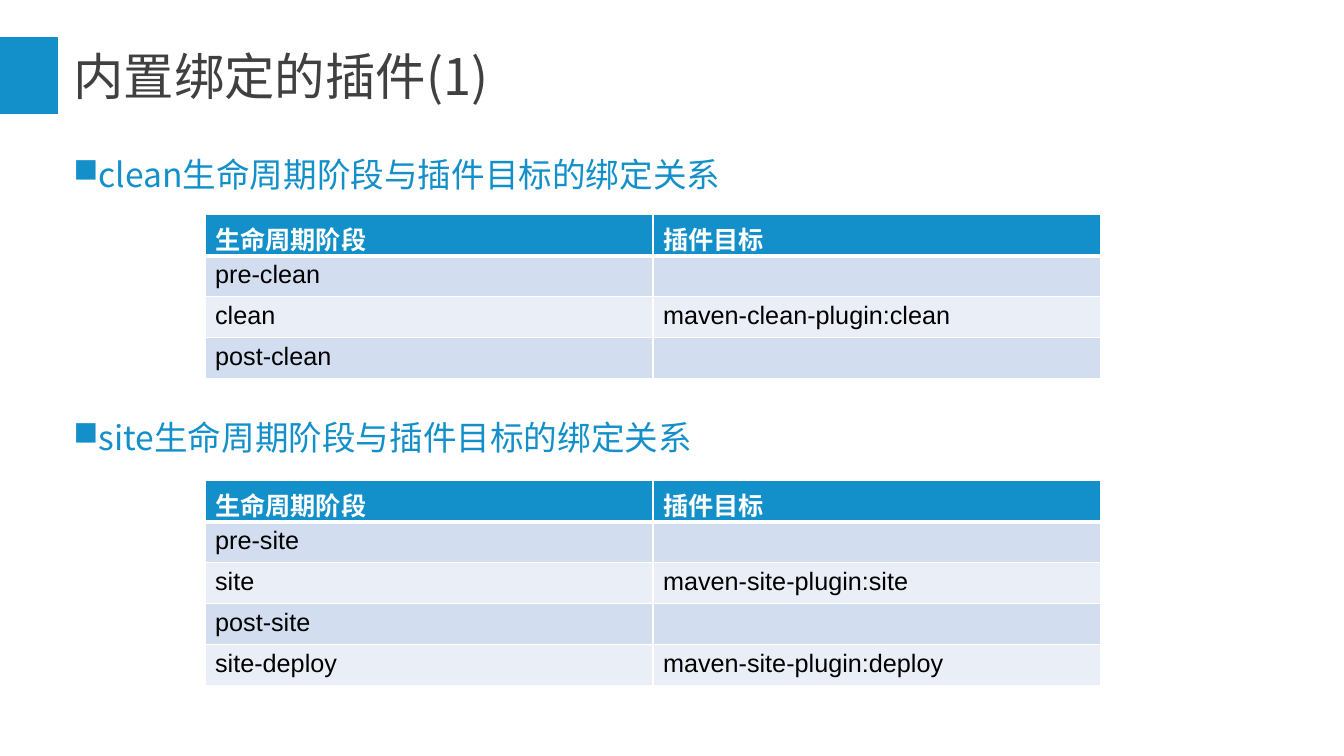
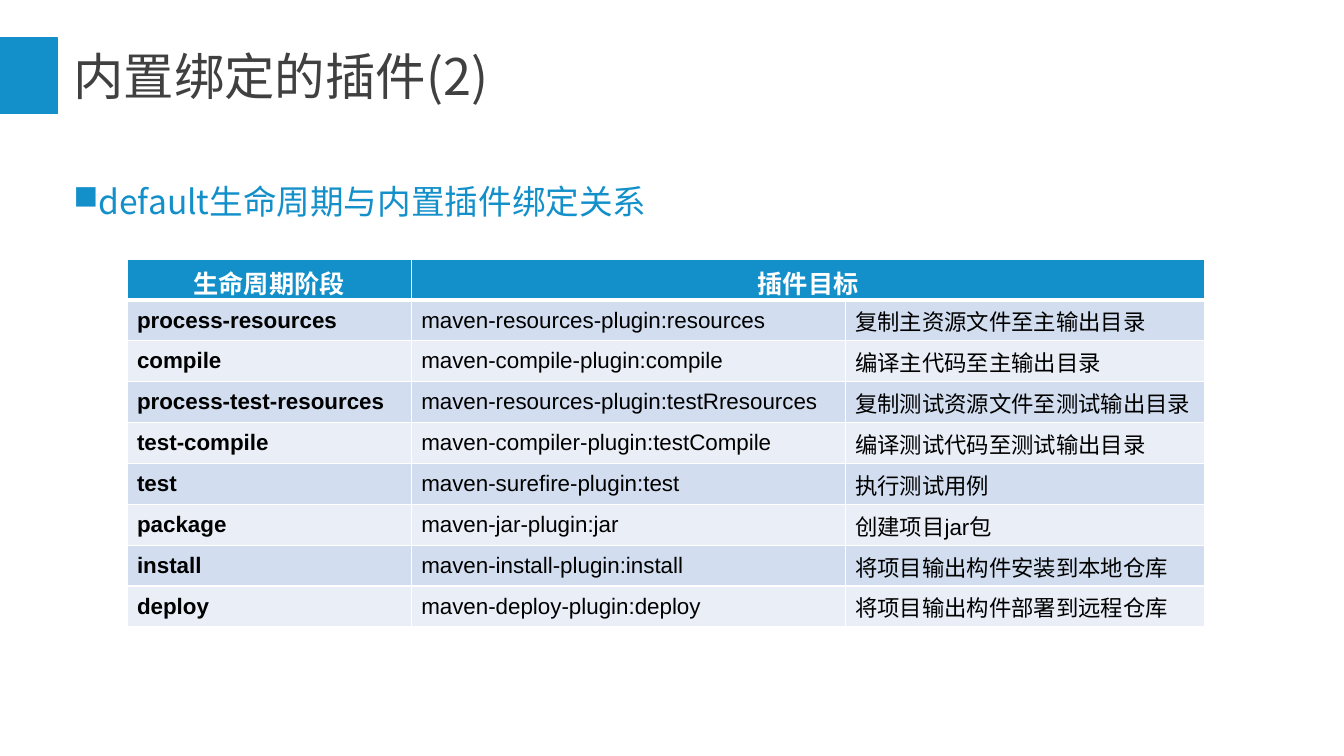
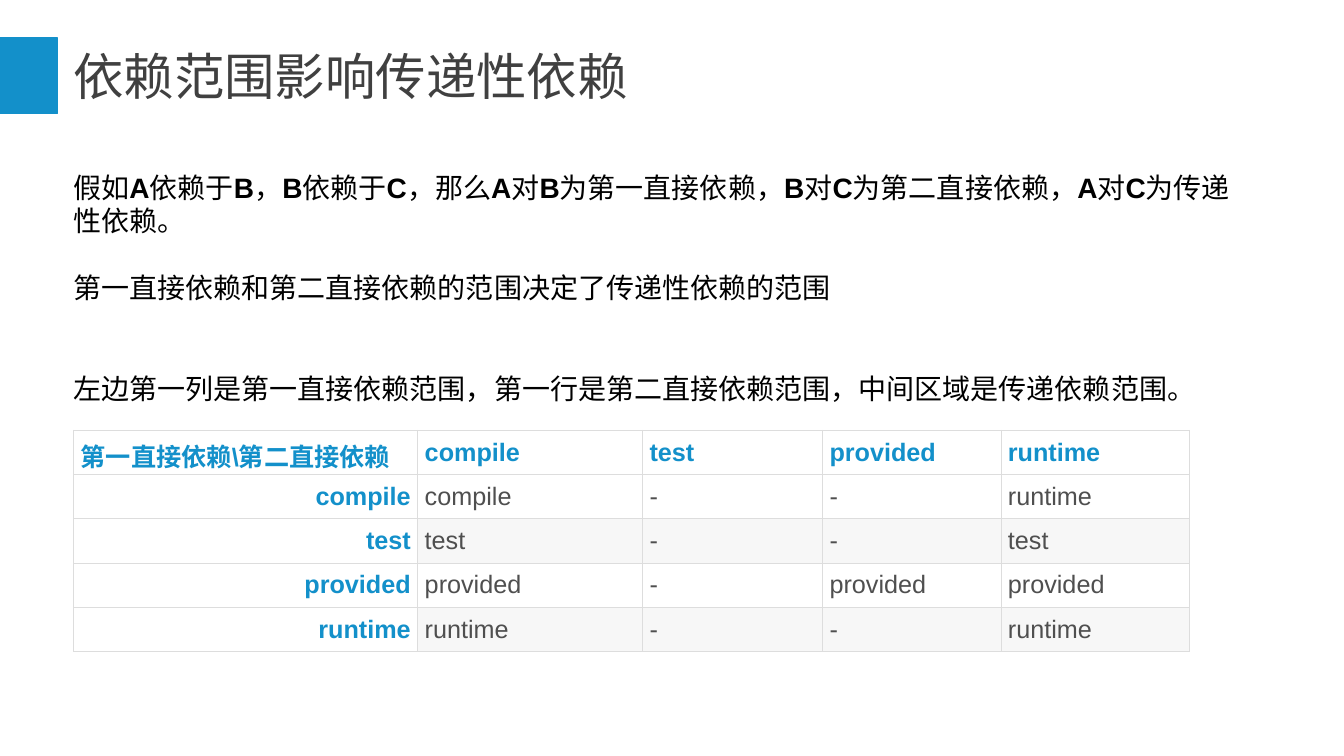
from itertools import groupby

from lxml import etree
from pptx import Presentation
from pptx import util as u
from pptx.dml.color import RGBColor
from pptx.enum import shapes, text
from pptx.oxml import ns

Pt = u.Pt
BLUE, WHITE, BLACK = "1390CA", "FFFFFF", "000000"
DARK, GREY, RULE = "404040", "4F4F4F", "DDDDDD"
BANDS = "D2DEEF", "EAEFF7"
PALE = WHITE, "F7F7F7"
SANS, CJK = "Arial", "Noto Sans CJK SC"
LEFT, WIDE = 45.36, 861
ALIGN, ANCHOR = text.PP_ALIGN, text.MSO_ANCHOR


def hue(code):
    return RGBColor.from_string(code)


def paint(fill, code):
    if code:
        fill.solid()
        fill.fore_color.rgb = hue(code)
    else:
        fill.background()


def node(parent, tag, **attrs):
    return etree.SubElement(parent, ns.qn(tag), attrs)


def write(para, words, color, **form):
    run = para.add_run()
    run.text = words
    run.font.color.rgb = hue(color)
    for key, val in form.items():
        setattr(run.font, key, val)
    node(run._r.get_or_add_rPr(), "a:ea", typeface=CJK)


def box(slide, *area):
    frame = slide.shapes.add_textbox(*map(Pt, area)).text_frame
    frame.word_wrap = True
    return frame


def start(deck, title):
    """Add a slide with the blue band and its title."""
    slide = deck.slides.add_slide(deck.slide_layouts[6])
    band = slide.shapes.add_shape(
        shapes.MSO_SHAPE.RECTANGLE, 0, Pt(27.2), Pt(41), Pt(54))
    band.shadow.inherit = False
    paint(band.fill, BLUE)
    paint(band.line.fill, BLUE)
    band.line.width = Pt(1)
    frame = box(slide, LEFT, 29.5, WIDE, 54)
    frame.vertical_anchor = ANCHOR.MIDDLE
    para = frame.paragraphs[0]
    para.line_spacing = 0.9
    write(para, title, DARK, size=Pt(36), name=CJK)
    return slide


def point(slide, top, words, wide=WIDE, high=41):
    """Add a heading with a square bullet."""
    para = box(slide, LEFT, top, wide, high).paragraphs[0]
    para.space_before = para.space_after = Pt(6)
    props = para._p.get_or_add_pPr()
    props.set("marL", str(Pt(7.2)))
    props.set("indent", str(Pt(-36)))
    node(props, "a:buChar", char="■")
    write(para, words, BLUE, size=Pt(24), name=CJK)


def edge(cell, color, **widths):
    props = cell._tc.get_or_add_tcPr()
    for side in "LRTB":
        line = node(props, "a:ln" + side, w=str(Pt(widths[side])))
        node(node(line, "a:solidFill"), "a:srgbClr", val=color)


def grid(slide, left, top, cols, high, rows, look, rule, thin, thick):
    """Add a table; look(row, col) gives fill, align, anchor and font form.

    None as a cell's words joins it to the cell on its left.
    """
    table = slide.shapes.add_table(
        len(rows), len(cols), Pt(left), Pt(top),
        Pt(sum(cols)), Pt(high * len(rows))).table
    for col, wide in zip(table.columns, cols):
        col.width = Pt(wide)
    for r, row in enumerate(rows):
        table.rows[r].height = Pt(high)
        for c, words in enumerate(row):
            cell = table.cell(r, c)
            fill, align, anchor, form = look(r, c)
            edge(cell, rule, L=thin, R=thin,
                 T=thick if r == 1 else thin,
                 B=thick if r == 0 else thin)
            paint(cell.fill, fill)
            cell.vertical_anchor = anchor
            if words is None:
                table.cell(r, c - 1).merge(cell)
            elif words:
                para = cell.text_frame.paragraphs[0]
                para.alignment = align
                write(para, words, name=SANS, **form)
    return table


def plain(r, c):
    form = dict(color=BLACK if r else WHITE, size=Pt(18), bold=r == 0)
    return BANDS[(r - 1) % 2] if r else BLUE, ALIGN.LEFT, ANCHOR.TOP, form


def phased(r, c):
    fill, align, anchor, form = plain(r, c)
    if r:
        form.update(size=Pt(16), bold=c == 0)
    return fill, align if r else ALIGN.CENTER, ANCHOR.MIDDLE, form


def scoped(r, c):
    head = r == 0 or c == 0
    form = dict(color=BLUE if head else GREY, size=Pt(18), bold=head)
    align = ALIGN.RIGHT if r and c == 0 else ALIGN.LEFT
    return None if head else PALE[(r - 1) % 2], align, ANCHOR.MIDDLE, form


def cycles(deck):
    slide = start(deck, "内置绑定的插件(1)")
    head = "生命周期阶段", "插件目标"
    point(slide, 106.56, "clean生命周期阶段与插件目标的绑定关系")
    point(slide, 294.5, "site生命周期阶段与插件目标的绑定关系", 479, 36)
    clean = [head, ("pre-clean", ""), ("clean", "maven-clean-plugin:clean"),
             ("post-clean", "")]
    site = [head, ("pre-site", ""), ("site", "maven-site-plugin:site"),
            ("post-site", ""), ("site-deploy", "maven-site-plugin:deploy")]
    for top, rows in (153.5, clean), (343.5, site):
        grid(slide, 146.5, top, [320, 320], 29.2, rows, plain, WHITE, 1, 3)


def default(deck):
    slide = start(deck, "内置绑定的插件(2)")
    point(slide, 126, "default生命周期与内置插件绑定关系")
    rows = [
        ("生命周期阶段", "插件目标", None),
        ("process-resources", "maven-resources-plugin:resources",
         "复制主资源文件至主输出目录"),
        ("compile", "maven-compile-plugin:compile", "编译主代码至主输出目录"),
        ("process-test-resources", "maven-resources-plugin:testRresources",
         "复制测试资源文件至测试输出目录"),
        ("test-compile", "maven-compiler-plugin:testCompile",
         "编译测试代码至测试输出目录"),
        ("test", "maven-surefire-plugin:test", "执行测试用例"),
        ("package", "maven-jar-plugin:jar", "创建项目jar包"),
        ("install", "maven-install-plugin:install",
         "将项目输出构件安装到本地仓库"),
        ("deploy", "maven-deploy-plugin:deploy",
         "将项目输出构件部署到远程仓库"),
    ]
    grid(slide, 90.7, 185, [203, 310, 257], 29.2, rows, phased, WHITE, 1, 3)


def scopes(deck):
    slide = start(deck, "依赖范围影响传递性依赖")
    frame = box(slide, LEFT, 118, 850, 177)
    notes = [
        (0, "假如A依赖于B，B依赖于C，那么A对B为第一直接依赖，"
            "B对C为第二直接依赖，A对C为传递性依赖。"),
        (24, "第一直接依赖和第二直接依赖的范围决定了传递性依赖的范围"),
        (48, "左边第一列是第一直接依赖范围，第一行是第二直接依赖范围，"
             "中间区域是传递依赖范围。"),
    ]
    for i, (gap, words) in enumerate(notes):
        para = frame.add_paragraph() if i else frame.paragraphs[0]
        para.space_before, para.line_spacing = Pt(gap), Pt(24)
        for bold, part in groupby(words, lambda sign: sign in "ABC"):
            write(para, "".join(part), BLACK,
                  size=Pt(20), bold=bold, name=SANS)
    rows = [
        (r"第一直接依赖\第二直接依赖", "compile", "test", "provided", "runtime"),
        ("compile", "compile", "-", "-", "runtime"),
        ("test", "test", "-", "-", "test"),
        ("provided", "provided", "-", "provided", "provided"),
        ("runtime", "runtime", "-", "-", "runtime"),
    ]
    table = grid(slide, 52.6, 307.4, [245.8, 160.6, 128.6, 127.4, 134.6],
                 31.25, rows, scoped, RULE, 0.6, 0.6)
    for cell in table.iter_cells():
        for side in "left", "right", "top", "bottom":
            setattr(cell, "margin_" + side, Pt(5))
    table.cell(0, 0).margin_bottom = 0


def main():
    deck = Presentation()
    deck.slide_width, deck.slide_height = Pt(960), Pt(540)
    for build in cycles, default, scopes:
        build(deck)
    deck.save("out.pptx")


if __name__ == "__main__":
    main()
